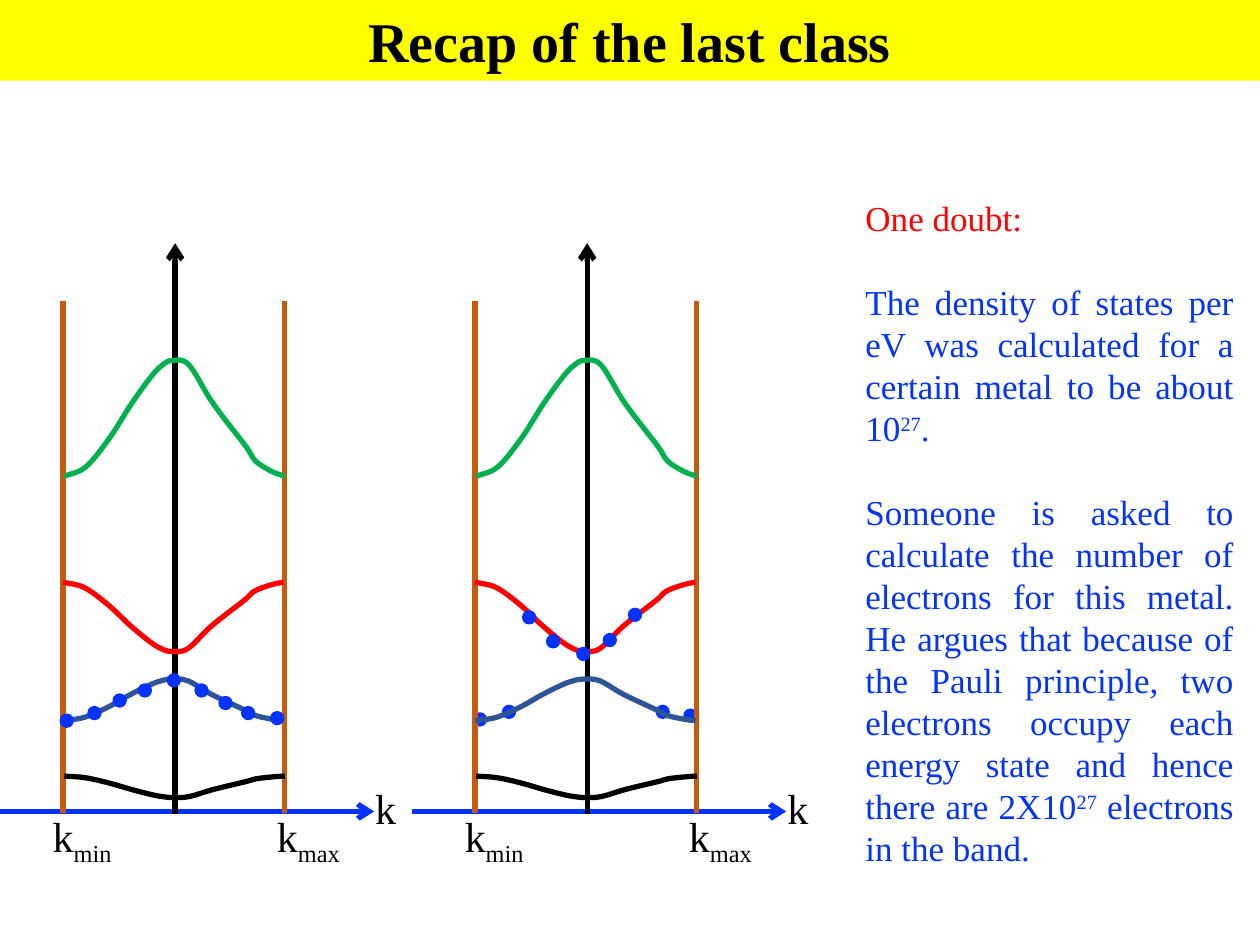
from lxml.etree import SubElement
from pptx import Presentation
from pptx.dml.color import RGBColor
from pptx.enum.shapes import MSO_CONNECTOR, MSO_SHAPE
from pptx.enum.text import MSO_ANCHOR, MSO_AUTO_SIZE, PP_ALIGN
from pptx.oxml.ns import qn
from pptx.util import Inches, Pt

FONT = "Times New Roman"
BLACK, BLUE, RED, BROWN = "000000", "0432FF", "FF0000", "C55A11"
PANEL_STEP = 3.27
DOT_SIZE = 0.1
BAND_PROFILE = [
    (0, 0), (0.17, 0.08), (0.36, 0.33), (0.53, 0.62), (0.69, 0.86),
    (0.78, 0.96), (0.86, 1), (0.99, 0.96), (1.18, 0.63), (1.44, 0.26),
    (1.52, 0.13), (1.65, 0.04), (1.75, 0),
]
BANDS = [
    (0.51, 3.78, 2.86, "00B050"),
    (0.5, 4.62, 5.17, RED),
    (0.5, 5.72, 5.39, "2F5597"),
    (0.51, 6.16, 6.33, BLACK),
]
FILLED_BAND_DOTS = [
    (0.48, 5.67), (0.7, 5.61), (0.9, 5.51), (1.1, 5.43), (1.33, 5.35),
    (1.55, 5.43), (1.74, 5.53), (1.92, 5.61), (2.15, 5.65),
]
LOWER_BAND_DOTS = [(0.49, 5.66), (0.72, 5.6), (1.94, 5.6), (2.16, 5.63)]
UPPER_BAND_DOTS = [(0.88, 4.85), (1.07, 5.04), (1.31, 5.14), (1.52, 5.03), (1.72, 4.83)]
LABELS = [(2.88, 6.16, 0.37, ""), (2.1, 6.38, 0.76, "max"), (0.32, 6.38, 0.72, "min")]
DOUBT_TEXTS = [
    (RED, "One doubt:", "", ""),
    (BLUE, "The density of states per eV was calculated for a certain metal "
           "to be about 10", "27", ". "),
    (BLUE, "Someone is asked to calculate the number of electrons for this metal. "
           "He argues that because of the Pauli principle, two electrons occupy each "
           "energy state and hence there are 2X10", "27", " electrons in the band. "),
]


def color(value):
    """Turn a hex string into a colour."""
    return RGBColor.from_string(value)


def set_font(paragraph, size, value, bold=False):
    """Set the font of a whole paragraph."""
    font = paragraph.font
    font.name, font.size, font.bold = FONT, Pt(size), bold
    font.color.rgb = color(value)


def add_run(paragraph, text, baseline=0):
    """Add text to a paragraph, raised or lowered by a percentage."""
    if text:
        run = paragraph.add_run()
        run.text = text
        if baseline:
            run.font._element.set("baseline", str(baseline * 1000))


def add_title(slide, text):
    """Add the yellow title bar."""
    shape = slide.shapes.add_shape(
        MSO_SHAPE.RECTANGLE, 0, 0, Inches(10), Inches(0.64))
    shape.shadow.inherit = False
    shape.fill.solid()
    shape.fill.fore_color.rgb = color("FFFF00")
    shape.line.fill.background()
    shape.text_frame.vertical_anchor = MSO_ANCHOR.MIDDLE
    paragraph = shape.text_frame.paragraphs[0]
    paragraph.text = text
    paragraph.alignment = PP_ALIGN.CENTER
    set_font(paragraph, 32, BLACK, bold=True)


def add_line(shapes, start, end, value, arrow=None):
    """Add a straight line, with an arrowhead at headEnd or tailEnd if named."""
    points = [Inches(length) for length in (*start, *end)]
    connector = shapes.add_connector(MSO_CONNECTOR.STRAIGHT, *points)
    connector.line.width = Pt(3)
    connector.line.color.rgb = color(value)
    if arrow:
        SubElement(connector.line._get_or_add_ln(), qn("a:" + arrow), type="arrow")
    SubElement(connector._element.spPr, qn("a:effectLst"))


def smooth_path(shape):
    """Turn the straight segments of a freeform into one smooth curve."""
    path = next(shape._element.iter(qn("a:path")))
    points = [(int(point.get("x")), int(point.get("y")))
              for point in path.iter(qn("a:pt"))]
    for segment in path.findall(qn("a:lnTo")):
        path.remove(segment)

    def mirror(center, point):
        """Reflect a point through a center."""
        return tuple(2 * middle - other for middle, other in zip(center, point))

    chain = [mirror(points[0], points[1]), *points, mirror(points[-1], points[-2])]
    for before, start, end, after in zip(chain, chain[1:], chain[2:], chain[3:]):
        leaving = [s + (e - b) / 6 for b, s, e in zip(before, start, end)]
        arriving = [e - (a - s) / 6 for s, e, a in zip(start, end, after)]
        curve = SubElement(path, qn("a:cubicBezTo"))
        for x, y in (leaving, arriving, end):
            SubElement(curve, qn("a:pt"), x=str(round(x)), y=str(round(y)))


def add_band(shapes, left, edge, center, value):
    """Add an energy band running from its edge level to its center level."""
    points = [(Inches(left + x), Inches(edge + (center - edge) * part))
              for x, part in BAND_PROFILE]
    builder = shapes.build_freeform(*points[0])
    builder.add_line_segments(points[1:], close=False)
    shape = builder.convert_to_shape()
    smooth_path(shape)
    shape.shadow.inherit = False
    shape.fill.background()
    shape.line.width = Pt(3)
    shape.line.color.rgb = color(value)


def add_dots(shapes, offset, positions):
    """Add electrons at the given positions of a panel."""
    for left, top in positions:
        dot = shapes.add_shape(
            MSO_SHAPE.OVAL, Inches(offset + left), Inches(top),
            Inches(DOT_SIZE), Inches(DOT_SIZE))
        dot.shadow.inherit = False
        dot.fill.solid()
        dot.fill.fore_color.rgb = color(BLUE)
        dot.line.width = Pt(1)
        dot.line.color.rgb = color(BLUE)


def add_label(shapes, left, top, width, subscript):
    """Add a k label with an optional subscript."""
    box = shapes.add_textbox(Inches(left), Inches(top), Inches(width), Inches(0.5))
    box.text_frame.word_wrap = False
    box.text_frame.auto_size = MSO_AUTO_SIZE.SHAPE_TO_FIT_TEXT
    paragraph = box.text_frame.paragraphs[0]
    set_font(paragraph, 24, BLACK)
    add_run(paragraph, "k")
    add_run(paragraph, subscript, -25)


def add_panel(slide, offset, back_dots, front_dots):
    """Add one band diagram with electrons behind and before its bands."""
    shapes = slide.shapes.add_group_shape().shapes
    add_dots(shapes, offset, back_dots)
    add_line(shapes, (offset, 6.44), (offset + 2.97, 6.44), BLUE, "tailEnd")
    for x in (0.5, 2.26):
        add_line(shapes, (offset + x, 2.39), (offset + x, 6.45), BROWN)
    add_line(shapes, (offset + 1.39, 1.93), (offset + 1.39, 6.46), BLACK, "headEnd")
    for left, edge, center, value in BANDS:
        add_band(shapes, offset + left, edge, center, value)
    add_dots(shapes, offset, front_dots)
    for left, top, width, subscript in LABELS:
        add_label(shapes, offset + left, top, width, subscript)


def add_doubt(slide):
    """Add the justified text at the right."""
    box = slide.shapes.add_textbox(
        Inches(6.77), Inches(1.51), Inches(3.12), Inches(5.49))
    frame = box.text_frame
    frame.word_wrap = True
    for index, (value, text, power, ending) in enumerate(DOUBT_TEXTS):
        paragraph = frame.add_paragraph() if index else frame.paragraphs[0]
        paragraph.alignment = PP_ALIGN.JUSTIFY
        paragraph.line_spacing = Pt(24)
        paragraph.space_before = Pt(24 if index else 0)
        set_font(paragraph, 20, value)
        add_run(paragraph, text)
        add_run(paragraph, power, 30)
        add_run(paragraph, ending)


def main():
    """Build and save the slide."""
    presentation = Presentation()
    presentation.slide_width, presentation.slide_height = Inches(10), Inches(7.5)
    slide = presentation.slides.add_slide(presentation.slide_layouts[6])
    add_title(slide, "Recap of the last class")
    add_panel(slide, 0, [], FILLED_BAND_DOTS)
    add_panel(slide, PANEL_STEP, LOWER_BAND_DOTS, UPPER_BAND_DOTS)
    add_doubt(slide)
    presentation.save("out.pptx")


if __name__ == "__main__":
    main()
